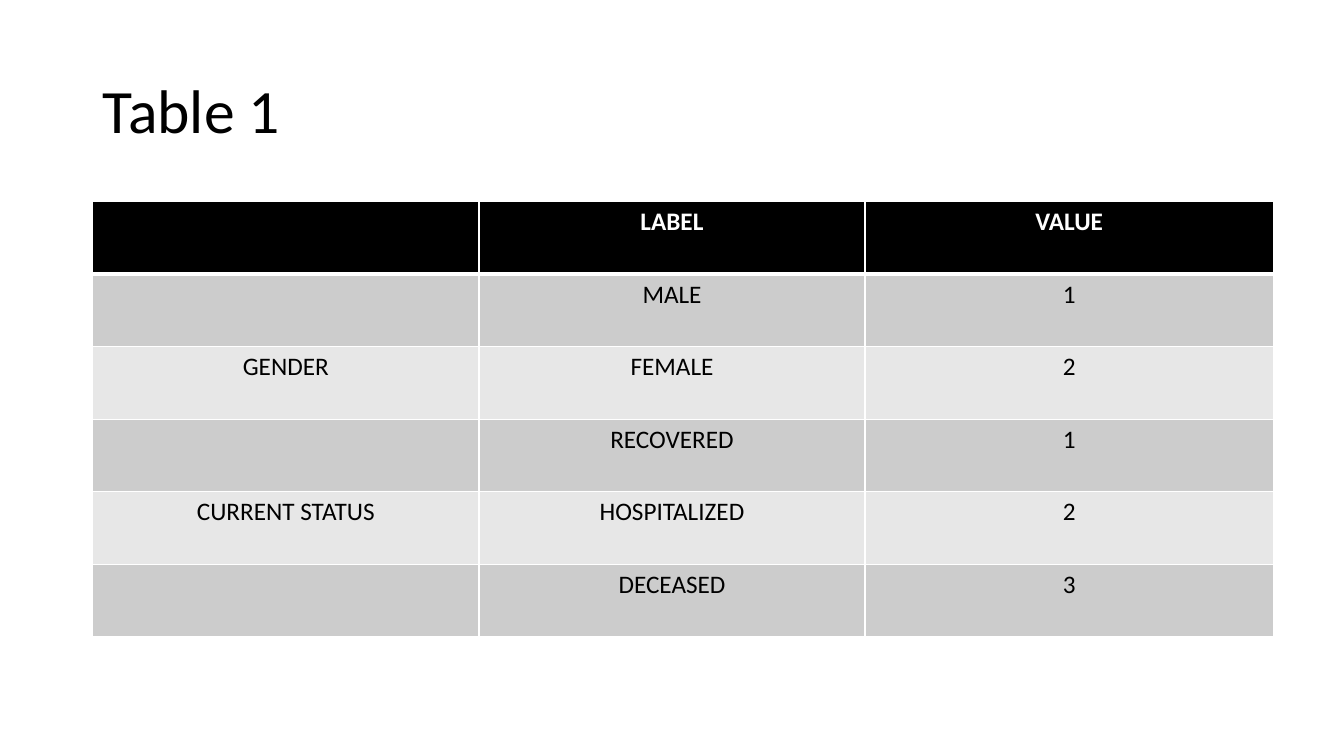
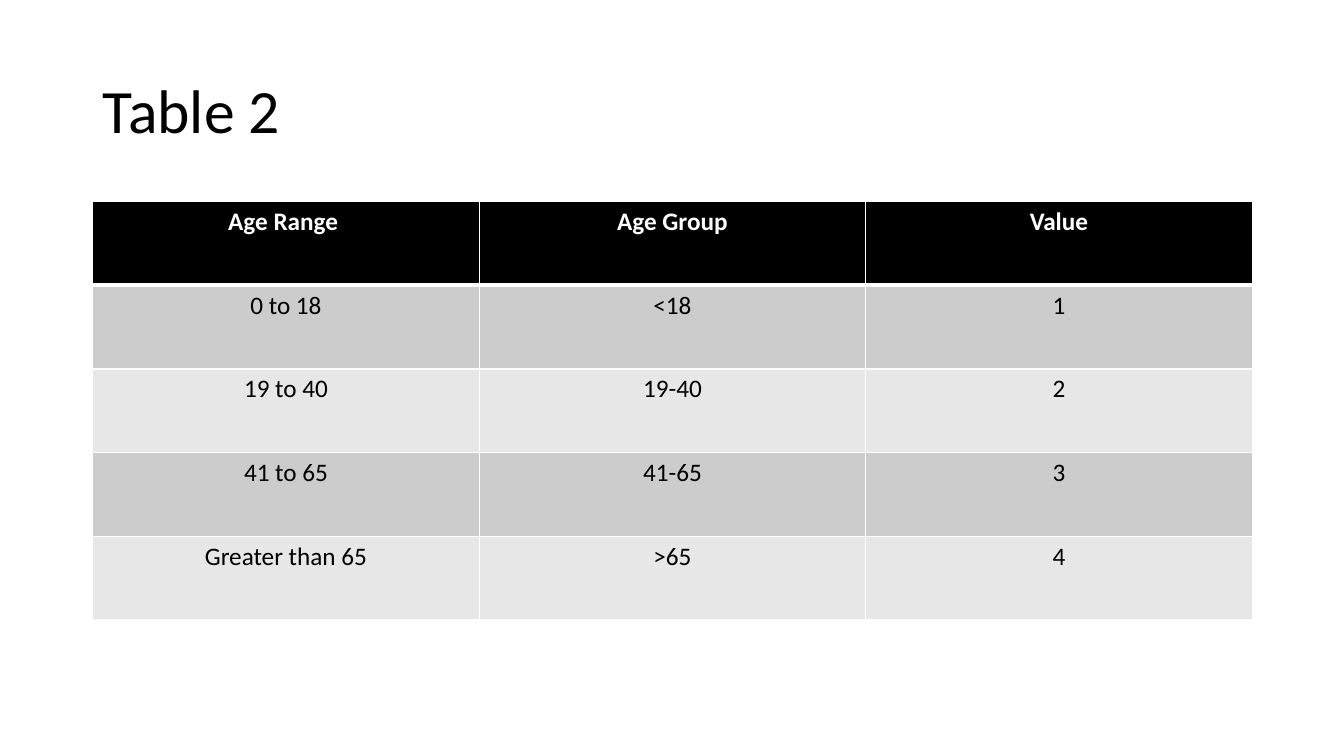
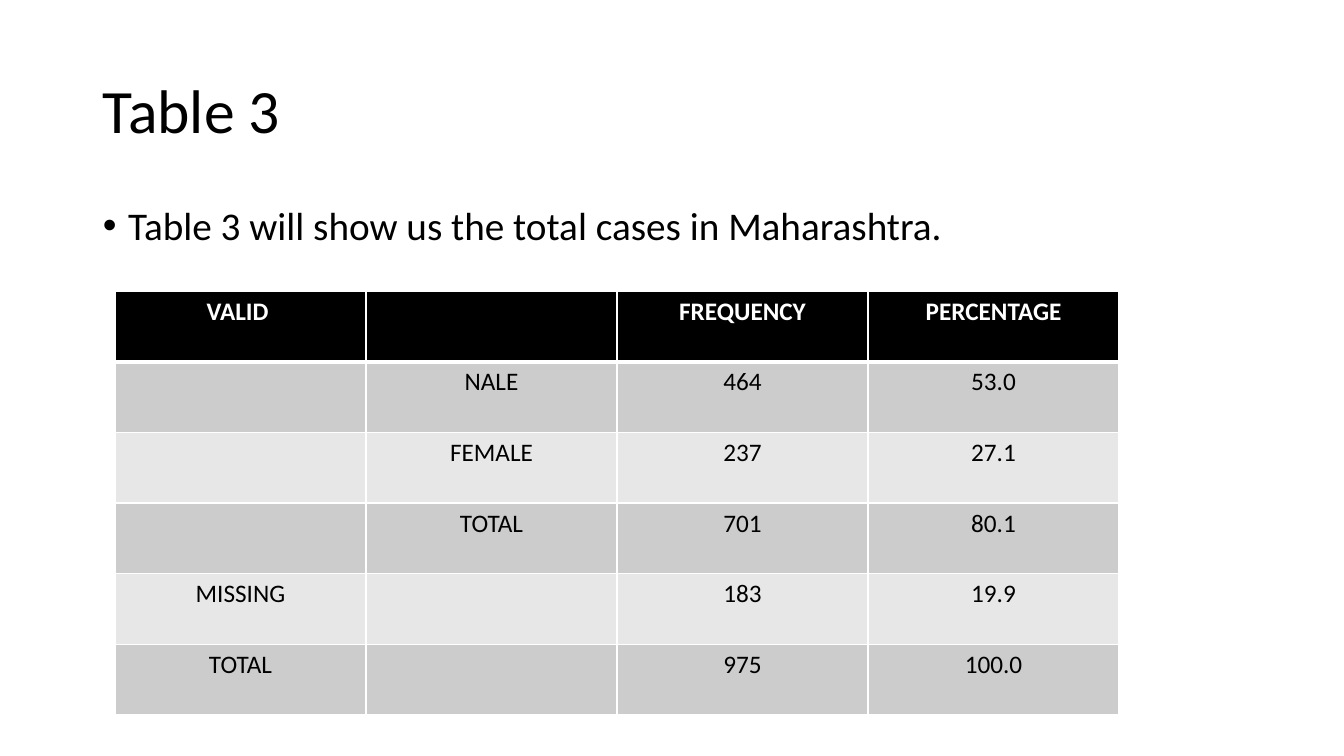
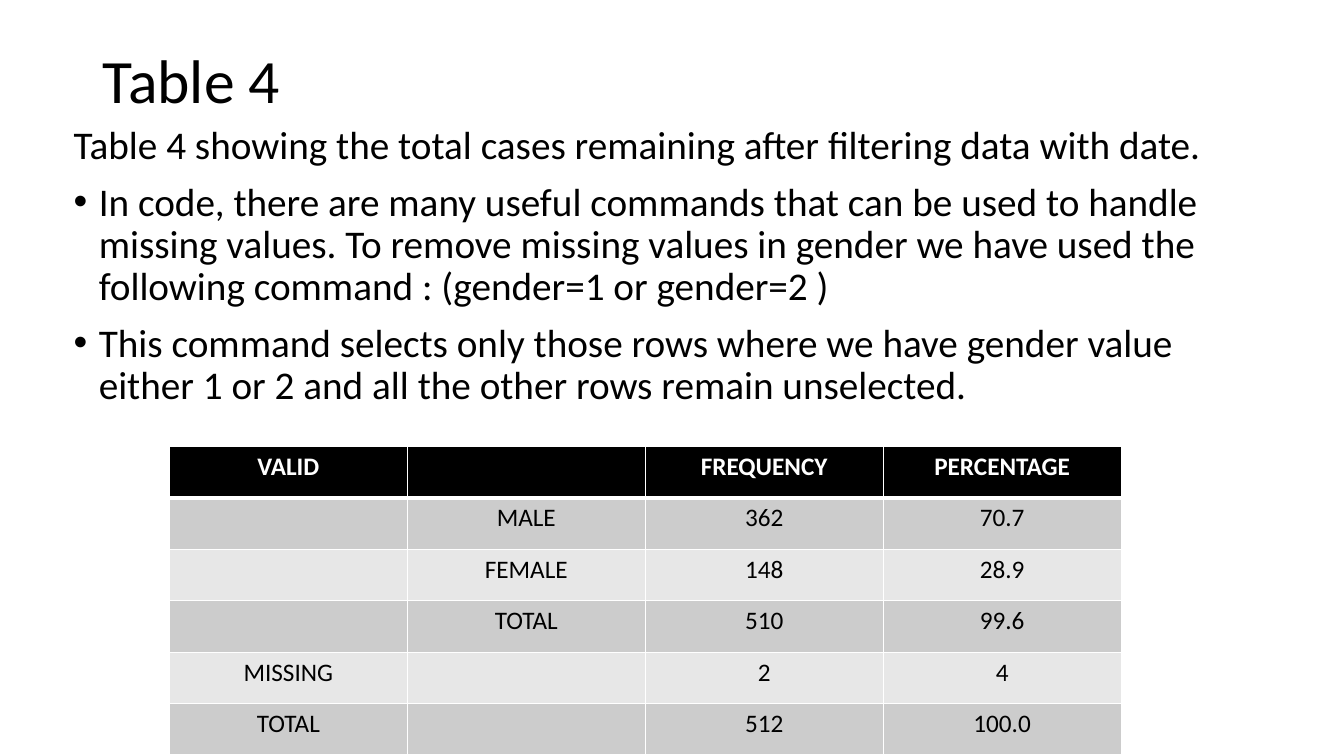
"""Build four slides of coded health data tables."""
from dataclasses import dataclass

from lxml.etree import SubElement
from pptx import Presentation
from pptx.dml.color import RGBColor
from pptx.enum.text import MSO_ANCHOR, MSO_AUTO_SIZE, PP_ALIGN
from pptx.oxml.ns import qn
from pptx.util import Inches, Pt

LEFT, CENTER = PP_ALIGN.LEFT, PP_ALIGN.CENTER
TOP, MIDDLE = MSO_ANCHOR.TOP, MSO_ANCHOR.MIDDLE
FIXED = MSO_AUTO_SIZE.NONE
TITLE_BODY, TITLE_ONLY = 1, 5
FONT = "Calibri"
COLORS = {
    "ink": "000000",
    "paper": "FFFFFF",
    "head": "000000",
    "odd": "CCCCCC",
    "even": "E7E7E7",
}
WIDE = 11.5
THIN, THICK = 1, 3


@dataclass
class Box:
    left: float
    top: float
    width: float
    height: float


@dataclass
class Line:
    text: str
    bullet: bool = True


@dataclass
class Grid:
    left: float
    top: float
    widths: list[float]
    row: float
    cells: list[list[str]]


@dataclass
class Page:
    title: str
    grid: Grid
    title_box: Box
    body_box: Box | None = None
    lines: tuple[Line, ...] = ()


HEADING = Box(0.92, 0.4, WIDE, 1.45)
PAGES = [
    Page("Table 1", Grid(0.92, 2, [3.83, 3.83, 4.05], 0.72, [
        ["", "LABEL", "VALUE"],
        ["", "MALE", "1"],
        ["GENDER", "FEMALE", "2"],
        ["", "RECOVERED", "1"],
        ["CURRENT STATUS", "HOSPITALIZED", "2"],
        ["", "DECEASED", "3"],
    ]), HEADING),
    Page("Table 2", Grid(0.92, 2, [WIDE / 3] * 3, 0.83, [
        ["Age Range ", "Age Group", "Value"],
        ["0 to 18", "<18", "1"],
        ["19 to 40", "19-40", "2"],
        ["41 to 65", "41-65", "3"],
        ["Greater than 65", ">65", "4"],
    ]), HEADING),
    Page("Table 3", Grid(1.14, 2.89, [2.49] * 4, 0.7, [
        ["VALID ", "", "FREQUENCY", "PERCENTAGE"],
        ["", "NALE", "464", "53.0"],
        ["", "FEMALE", "237", "27.1"],
        ["", "TOTAL", "701", "80.1"],
        ["MISSING", "", "183", "19.9"],
        ["TOTAL", "", "975", "100.0"],
    ]), HEADING, Box(0.92, 2, WIDE, 4.76), (
        Line("Table 3 will show us the total cases in Maharashtra."),
    )),
    Page("Table 4", Grid(1.68, 4.43, [2.36] * 4, 0.51, [
        ["VALID", "", "FREQUENCY", "PERCENTAGE"],
        ["", "MALE", "362", "70.7"],
        ["", "FEMALE", "148", "28.9"],
        ["", "TOTAL", "510", "99.6"],
        ["MISSING", "", "2", "4"],
        ["TOTAL", "", "512", "100.0"],
    ]), Box(0.92, 0.4, WIDE, 0.85), Box(0.63, 1.2, WIDE, 3.23), (
        Line("Table 4 showing the total cases remaining after filtering "
             "data with date.", bullet=False),
        Line("In code, there are many useful commands that can be used to "
             "handle missing values. To remove missing values in gender we "
             "have used the following command : (gender=1 or gender=2 )"),
        Line("This command selects only those rows where we have gender "
             "value either 1 or 2 and all the other rows remain unselected."),
    )),
]


def write(para, text: str, *, size: float, color: str = "ink",
          bold: bool = False, align=LEFT, spacing: float = 1.0,
          before: float = 0) -> None:
    para.alignment = align
    para.line_spacing = spacing
    para.space_before = Pt(before)
    run = para.add_run()
    run.text = text
    run.font.name = FONT
    run.font.size = Pt(size)
    run.font.bold = bold
    run.font.color.rgb = RGBColor.from_string(COLORS[color])


def place(shape, box: Box, anchor):
    shape.left, shape.top = Inches(box.left), Inches(box.top)
    shape.width, shape.height = Inches(box.width), Inches(box.height)
    frame = shape.text_frame
    frame.word_wrap = True
    frame.auto_size = FIXED
    frame.vertical_anchor = anchor
    return frame


def mark(para, bullet: bool) -> None:
    props = para._p.get_or_add_pPr()
    indent = Inches(0.25) if bullet else 0
    props.set("marL", str(indent))
    props.set("indent", str(-indent))
    if bullet:
        SubElement(props, qn("a:buFont"), typeface="Arial")
        SubElement(props, qn("a:buChar"), char="•")
    else:
        SubElement(props, qn("a:buNone"))


def border(cell, top: float, bottom: float) -> None:
    props = cell._tc.get_or_add_tcPr()
    sides = {"lnL": THIN, "lnR": THIN, "lnT": top, "lnB": bottom}
    for side, width in sides.items():
        line = SubElement(props, qn(f"a:{side}"), w=str(Pt(width)))
        fill = SubElement(line, qn("a:solidFill"))
        SubElement(fill, qn("a:srgbClr"), val=COLORS["paper"])


def draw_grid(slide, grid: Grid) -> None:
    count = len(grid.cells)
    frame = slide.shapes.add_table(
        count, len(grid.widths), Inches(grid.left), Inches(grid.top),
        Inches(sum(grid.widths)), Inches(grid.row * count))
    table = frame.table
    for column, width in zip(table.columns, grid.widths):
        column.width = Inches(width)
    for i, texts in enumerate(grid.cells):
        table.rows[i].height = Inches(grid.row)
        head = i == 0
        shade = "head" if head else "odd" if i % 2 else "even"
        for j, text in enumerate(texts):
            cell = table.cell(i, j)
            border(cell, THICK if i == 1 else THIN, THICK if head else THIN)
            cell.fill.solid()
            cell.fill.fore_color.rgb = RGBColor.from_string(COLORS[shade])
            if text:
                write(cell.text_frame.paragraphs[0], text, size=18,
                      color="paper" if head else "ink", bold=head,
                      align=CENTER)


def draw_page(deck, page: Page) -> None:
    layout = TITLE_BODY if page.lines else TITLE_ONLY
    slide = deck.slides.add_slide(deck.slide_layouts[layout])
    title = place(slide.shapes.title, page.title_box, MIDDLE)
    write(title.paragraphs[0], page.title, size=44, spacing=0.9)
    if page.body_box:
        body = place(slide.placeholders[1], page.body_box, TOP)
        for i, line in enumerate(page.lines):
            para = body.add_paragraph() if i else body.paragraphs[0]
            write(para, line.text, size=28, spacing=0.9, before=10)
            mark(para, line.bullet)
    draw_grid(slide, page.grid)


def main() -> None:
    deck = Presentation()
    deck.slide_width, deck.slide_height = Inches(13.33), Inches(7.5)
    for page in PAGES:
        draw_page(deck, page)
    deck.save("out.pptx")


if __name__ == "__main__":
    main()
